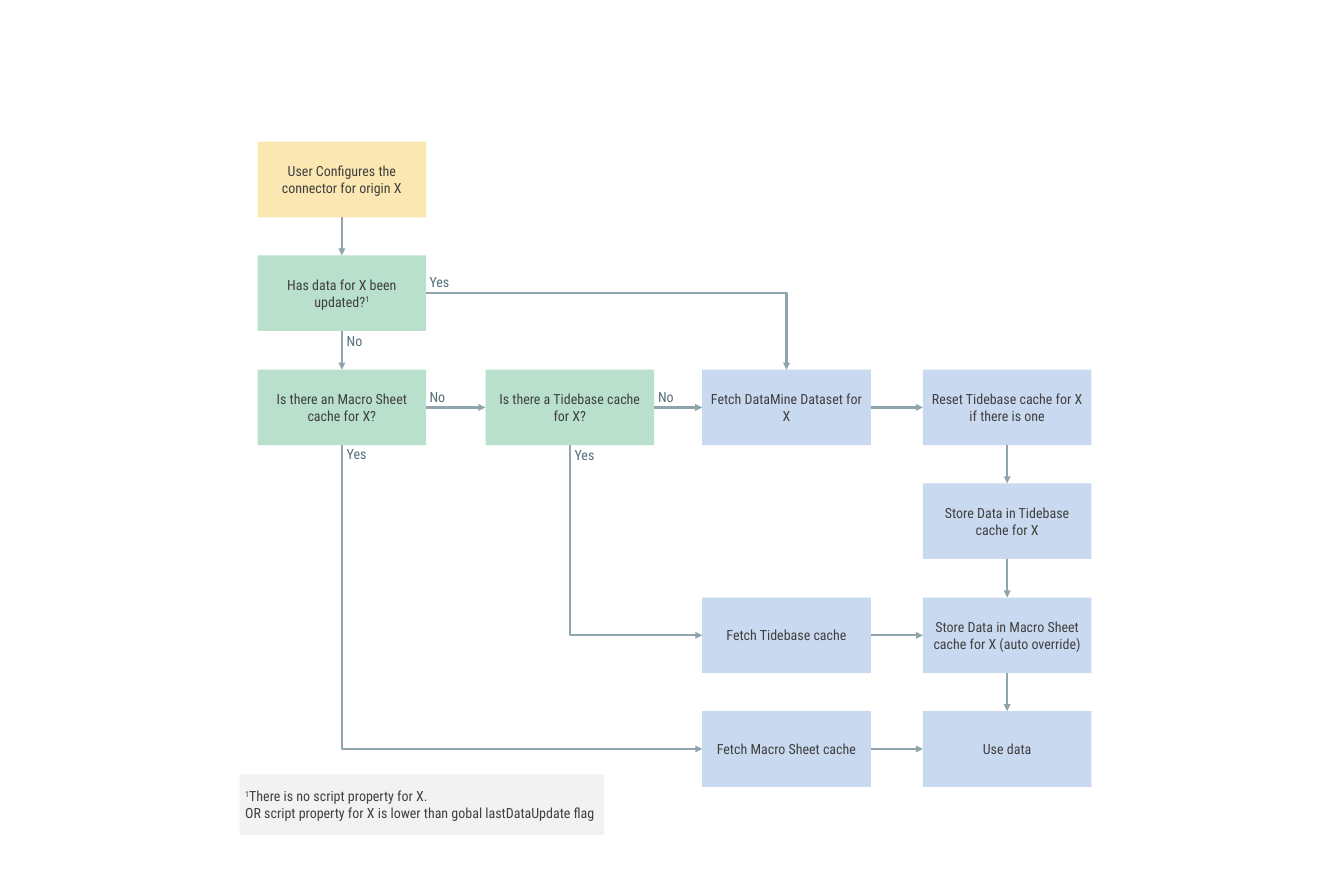
from dataclasses import dataclass

from pptx import Presentation
from pptx import util as u
from pptx.dml.color import RGBColor
from pptx.enum import shapes, text
from pptx.oxml.ns import qn
from pptx.oxml.xmlchemy import OxmlElement

PX = 9144  # EMU per px, 100 px to the inch


@dataclass(frozen=True)
class Theme:
    font: str = "Roboto Condensed"
    size: int = 18
    line_width: int = 3
    ink: str = "404040"
    label: str = "546E7A"
    line: str = "90A4AE"
    start: str = "FBE7B1"
    question: str = "B8E0CC"
    action: str = "C9D9F0"
    note: str = "F2F2F2"


# Connection sites of a rectangle: top 0, left 1, bottom 2, right 3
ROUTES = {"right": (3, 1), "down": (2, 0), "right-down": (3, 0), "down-right": (2, 1)}


class FlowChart:
    def __init__(self, slide, theme):
        self.slide = slide
        self.theme = theme

    def set_text(self, shape, content, color, align, insets):
        """Fill a shape with text; the sign ¹ becomes a raised 1."""
        frame = shape.text_frame
        frame.word_wrap = True
        frame.vertical_anchor = text.MSO_ANCHOR.MIDDLE
        frame.margin_left = frame.margin_right = insets[0] * PX
        frame.margin_top = frame.margin_bottom = insets[1] * PX
        frame.text = content.replace("¹", "")
        for paragraph, line in zip(frame.paragraphs, content.split("\n")):
            paragraph.alignment = align
            if "¹" in line:
                paragraph.text = ""
                for piece in filter(None, line.partition("¹")):
                    run = paragraph.add_run()
                    run.text = piece.replace("¹", "1")
                    if piece == "¹":
                        run._r.get_or_add_rPr().set("baseline", "30000")
            for run in paragraph.runs:
                run.font.name = self.theme.font
                run.font.size = u.Pt(self.theme.size)
                run.font.color.rgb = RGBColor.from_string(color)

    def box(self, x, y, width, height, content, fill, align=text.PP_ALIGN.CENTER):
        shape = self.slide.shapes.add_shape(
            shapes.MSO_SHAPE.RECTANGLE, x * PX, y * PX, width * PX, height * PX)
        shape.shadow.inherit = False
        shape.fill.solid()
        shape.fill.fore_color.rgb = RGBColor.from_string(fill)
        shape.line.fill.background()
        self.set_text(shape, content, self.theme.ink, align, (10, 2))
        return shape

    def label(self, x, y, content):
        shape = self.slide.shapes.add_textbox(x * PX, y * PX, 62 * PX, 48 * PX)
        self.set_text(shape, content, self.theme.label, text.PP_ALIGN.LEFT, (9, 9))

    def site(self, shape, index):
        middle_x = shape.left + shape.width // 2
        middle_y = shape.top + shape.height // 2
        return ((middle_x, shape.top), (shape.left, middle_y),
                (middle_x, shape.top + shape.height),
                (shape.left + shape.width, middle_y))[index]

    def arrow(self, source, target, route):
        leave, enter = ROUTES[route]
        bent = "-" in route
        kind = shapes.MSO_CONNECTOR.ELBOW if bent else shapes.MSO_CONNECTOR.STRAIGHT
        connector = self.slide.shapes.add_connector(
            kind, *self.site(source, leave), *self.site(target, enter))
        connector.begin_connect(source, leave)
        connector.end_connect(target, enter)
        connector.line.color.rgb = RGBColor.from_string(self.theme.line)
        connector.line.width = u.Pt(self.theme.line_width)
        properties = connector._element.spPr
        if bent:  # one corner only
            properties.find(qn("a:prstGeom")).set("prst", "bentConnector2")
        if route == "down-right":  # turn the corner to the lower left
            width, height = connector.width, connector.height
            connector.left += (width - height) // 2
            connector.top += (height - width) // 2
            connector.width, connector.height = height, width
            transform = properties.find(qn("a:xfrm"))
            transform.set("rot", "16200000")
            transform.set("flipH", "1")
        head = OxmlElement("a:tailEnd")
        head.set("type", "triangle")
        connector.line._get_or_add_ln().append(head)
        properties.append(OxmlElement("a:effectLst"))


def main():
    presentation = Presentation()
    presentation.slide_width, presentation.slide_height = 2400 * PX, 1600 * PX
    slide = presentation.slides.add_slide(presentation.slide_layouts[6])
    theme = Theme()
    chart = FlowChart(slide, theme)

    # Steps on a grid: name, column, row, text, fill
    columns = (460, 867, 1254, 1648)
    steps = (
        ("configure", 0, 0, "User Configures the connector for origin X", theme.start),
        ("updated", 0, 1, "Has data for X been updated?¹", theme.question),
        ("has script", 0, 2, "Is there an Macro Sheet cache for X?", theme.question),
        ("has base", 1, 2, "Is there a Tidebase cache for X?", theme.question),
        ("fetch data", 2, 2, "Fetch DataMine Dataset for X", theme.action),
        ("reset base", 3, 2, "Reset Tidebase cache for X if there is one", theme.action),
        ("store base", 3, 3, "Store Data in Tidebase cache for X", theme.action),
        ("fetch base", 2, 4, "Fetch Tidebase cache", theme.action),
        ("store script", 3, 4, "Store Data in Macro Sheet cache for X (auto override)",
         theme.action),
        ("fetch script", 2, 5, "Fetch Macro Sheet cache", theme.action),
        ("use", 3, 5, "Use data", theme.action),
    )
    boxes = {
        name: chart.box(columns[column], round(253 + 203.4 * row), 301, 135, content, fill)
        for name, column, row, content, fill in steps
    }

    # Arrows
    for source, target, route in (
        ("configure", "updated", "down"),
        ("updated", "has script", "down"),
        ("updated", "fetch data", "right-down"),
        ("has script", "has base", "right"),
        ("has script", "fetch script", "down-right"),
        ("has base", "fetch data", "right"),
        ("has base", "fetch base", "down-right"),
        ("fetch data", "reset base", "right"),
        ("reset base", "store base", "down"),
        ("store base", "store script", "down"),
        ("fetch base", "store script", "right"),
        ("store script", "use", "down"),
        ("fetch script", "use", "right"),
    ):
        chart.arrow(boxes[source], boxes[target], route)

    # Answers beside the arrows
    for x, y, answer in (
        (758, 480, "Yes"), (610, 585, "No"), (758, 685, "No"),
        (1166, 685, "No"), (610, 786, "Yes"), (1017, 789, "Yes"),
    ):
        chart.label(x, y, answer)

    # Footnote
    chart.box(428, 1383, 651, 108,
              "¹There is no script property for X.\n"
              "OR script property for X is lower than gobal lastDataUpdate flag",
              theme.note, text.PP_ALIGN.LEFT)

    presentation.save("out.pptx")


if __name__ == "__main__":
    main()
